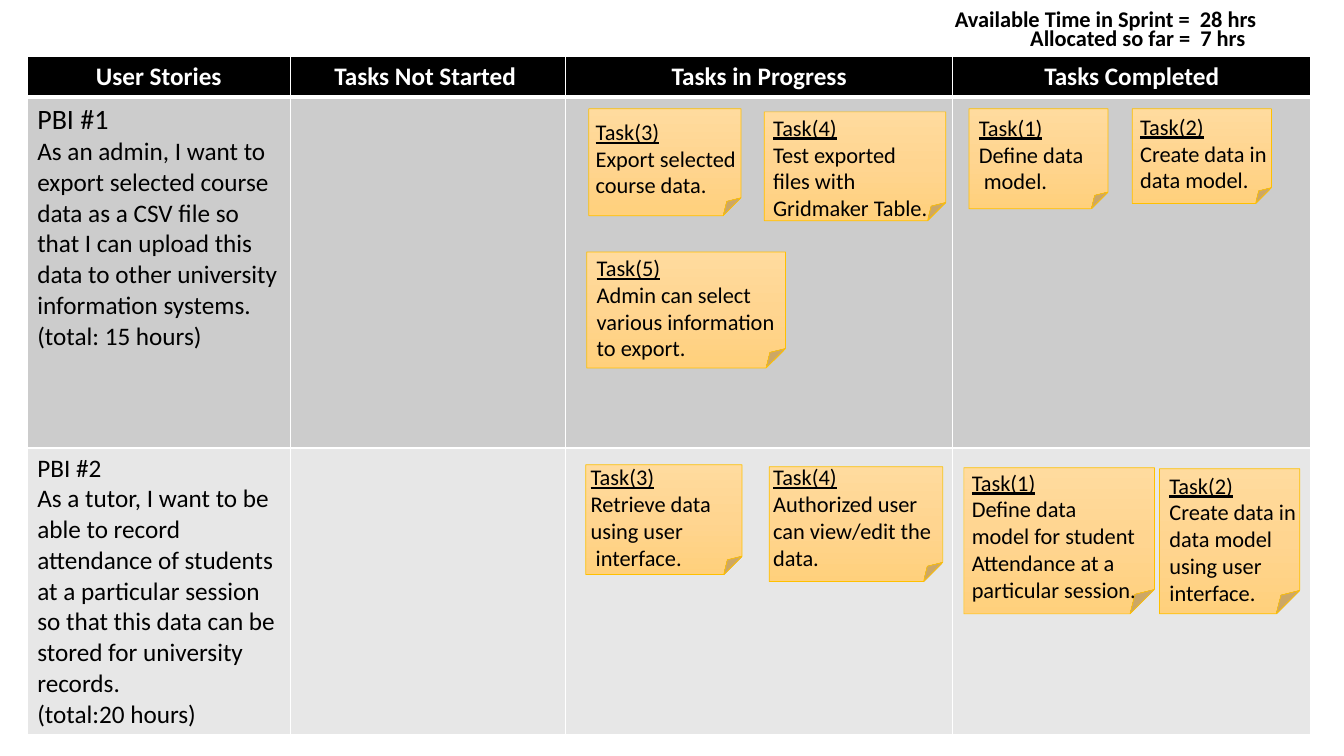
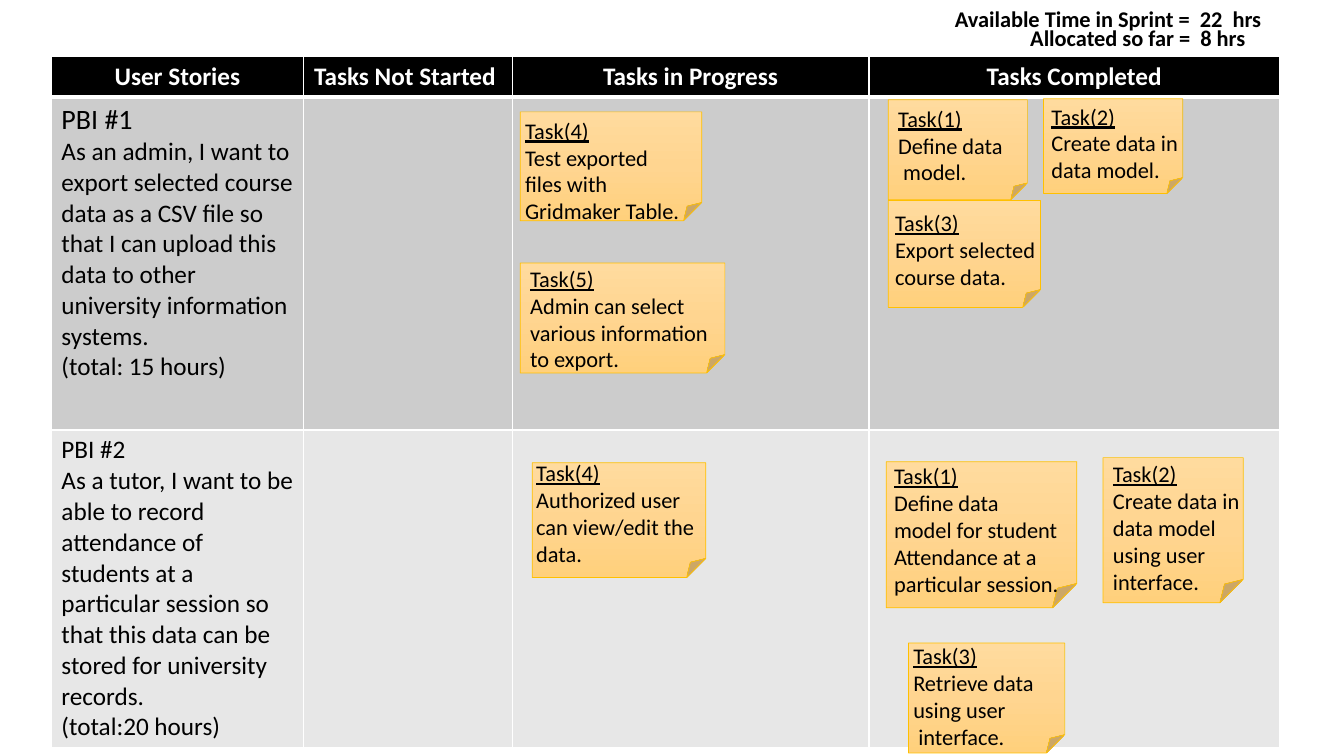
from copy import deepcopy
from dataclasses import dataclass, replace

from lxml.etree import SubElement
from pptx import Presentation
from pptx.dml.color import RGBColor
from pptx.enum.shapes import MSO_SHAPE as Shape
from pptx.enum.text import MSO_ANCHOR as Anchor, MSO_AUTO_SIZE as AutoSize, PP_ALIGN as Align
from pptx.oxml.ns import qn
from pptx.util import Inches, Pt


@dataclass(frozen=True)
class Theme:
    font: str = "Calibri"
    ink: str = "000000"
    paper: str = "FFFFFF"
    bands: tuple = ("000000", "CCCCCC", "E7E7E7")
    note_fill: tuple = ("FFDB9E", "FFD590", "FFD07C")
    note_line: str = "FFC000"
    lead_size: int = 20
    table_size: int = 18
    note_size: int = 16
    thin: int = 1
    thick: int = 3


@dataclass(frozen=True)
class Note:
    """A task card: its size and text offset are in grid units."""
    lines: tuple
    width: float
    height: float
    shift: tuple
    rows: int


# Lengths below count columns and rows of a grid with ten to the inch
def grid(units):
    return Inches(units / 10)


class Board:
    def __init__(self, deck, theme):
        self.deck, self.theme, self.slide = deck, theme, None

    def add_slide(self):
        self.slide = self.deck.slides.add_slide(self.deck.slide_layouts[5])

    def style(self, para, size, color, bold=False, underline=False):
        for span in para.runs:
            font = span.font
            font.name, font.size = self.theme.font, Pt(size)
            font.bold, font.underline = bold, underline
            font.color.rgb = RGBColor.from_string(color)

    def place(self, box, left, top, width, height):
        box.left, box.top = grid(left), grid(top)
        box.width, box.height = grid(width), grid(height)

    def header_line(self, box, text, *area):
        self.place(box, *area)
        frame = box.text_frame
        frame.text, frame.word_wrap = text, True
        frame.auto_size, frame.vertical_anchor = AutoSize.NONE, Anchor.TOP
        para = frame.paragraphs[0]
        para.alignment = Align.LEFT
        self.style(para, self.theme.note_size, self.theme.ink, bold=True)

    def hours(self, available, allocated):
        self.header_line(self.slide.shapes.title, available, 93.7, 0, 32.7, 3.7)
        box = self.slide.shapes.add_textbox(0, 0, 0, 0)
        self.header_line(box, allocated, 101.2, 1.9, 24.6, 3.7)

    def border(self, cell, row):
        widths = {"L": self.theme.thin, "R": self.theme.thin,
                  "T": self.theme.thick if row == 1 else self.theme.thin,
                  "B": self.theme.thick if row == 0 else self.theme.thin}
        props = cell._tc.get_or_add_tcPr()
        for side, width in widths.items():
            line = SubElement(props, qn(f"a:ln{side}"), w=str(Pt(width)))
            SubElement(SubElement(line, qn("a:solidFill")), qn("a:srgbClr"), val=self.theme.paper)

    def table(self, left, top, columns, rows):
        table = self.slide.shapes.add_table(
            len(rows), len(columns), grid(left), grid(top),
            grid(sum(columns)), grid(sum(rows))).table
        for column, width in zip(table.columns, columns):
            column.width = grid(width)
        for row, height in enumerate(rows):
            table.rows[row].height = grid(height)
            for cell in table.rows[row].cells:
                self.border(cell, row)
                cell.fill.solid()
                cell.fill.fore_color.rgb = RGBColor.from_string(self.theme.bands[row])
        # Column headings
        for column, heading in enumerate(HEADINGS):
            cell = table.cell(0, column)
            cell.text = heading
            para = cell.text_frame.paragraphs[0]
            para.alignment = Align.CENTER
            self.style(para, self.theme.table_size, self.theme.paper, bold=True)
        # User stories; the first one has a larger lead
        for row, story in enumerate(STORIES, 1):
            cell = table.cell(row, 0)
            cell.text = "\n".join(story)
            for index, para in enumerate(cell.text_frame.paragraphs):
                lead = row == 1 and index == 0
                size = self.theme.lead_size if lead else self.theme.table_size
                self.style(para, size, self.theme.ink)

    def note(self, note, left, top):
        group = self.slide.shapes.add_group_shape()
        # Folded paper
        card = group.shapes.add_shape(
            Shape.FOLDED_CORNER, grid(left), grid(top), grid(note.width), grid(note.height))
        card.shadow.inherit = False
        card.line.color.rgb = RGBColor.from_string(self.theme.note_line)
        card.line.width = Pt(0.5)
        card.fill.gradient()
        card.fill.gradient_angle = 270
        stops = card.element.spPr.find(".//" + qn("a:gsLst"))
        stops.insert(1, deepcopy(stops[0]))
        for index, stop in enumerate(card.fill.gradient_stops):
            stop.position = index / 2
            stop.color.rgb = RGBColor.from_string(self.theme.note_fill[index])
        # Task text
        across, down = note.shift
        box = group.shapes.add_textbox(
            grid(left + across), grid(top + down), grid(20.3), grid(1 + 2.7 * note.rows))
        frame = box.text_frame
        frame.text, frame.word_wrap = "\n".join(note.lines), True
        frame.auto_size = AutoSize.SHAPE_TO_FIT_TEXT
        for index, para in enumerate(frame.paragraphs):
            self.style(para, self.theme.note_size, self.theme.ink, underline=index == 0)


HEADINGS = ("User Stories", "Tasks Not Started ", "Tasks in Progress", "Tasks Completed")
STORIES = (
    ("PBI #1",
     "As an admin, I want to export selected course data as a CSV file so that I can "
     "upload this data to other university information systems.",
     "(total: 15 hours)"),
    ("PBI #2",
     "As a tutor, I want to be able to record attendance of students at a particular "
     "session so that this data can be stored for university records.",
     "(total:20 hours)"),
)

# Tasks of the first story
DEFINE = Note(("Task(1)", "Define data", " model."), 13.8, 9.9, (0, 0), 3)
CREATE = Note(("Task(2)", "Create data in", "data model."), 13.8, 9.4, (-0.2, -0.1), 3)
EXPORT = Note(("Task(3)", "Export selected course data."), 15.1, 10.6, (-0.3, 0.4), 3)
TEST = Note(("Task(4)", "Test exported", "files with", "Gridmaker Table."),
            18, 10.8, (-0.1, -0.3), 4)
SELECT = Note(("Task(5)", "Admin can select various information", "to export."),
              19.7, 11.5, (0, -0.3), 4)
# Tasks of the second story
ATTENDANCE = Note(("Task(1)", "Define data",
                   "model for student Attendance at a particular session."),
                  18.9, 14.5, (-0.2, -0.4), 5)
INTERFACE = Note(("Task(2)", "Create data in", "data model", "using user", "interface."),
                 13.9, 14.4, (0, -0.2), 5)
RETRIEVE = Note(("Task(3)", "Retrieve data", "using user", " interface."),
                15.5, 10.9, (-0.5, -0.6), 4)
AUTHORIZE = Note(("Task(4)", "Authorized user", "can view/edit the data."),
                 17.2, 11.4, (-0.6, -0.8), 4)

SPRINTS = (
    {"hours": ("Available Time in Sprint =  28 hrs", "Allocated so far =  7 hrs"),
     "table": (2.7, 5.6, (26.1, 27.3, 38.4, 35.5), (3.8, 34.8, 26.6)),
     "notes": ((RETRIEVE, 58.1, 46.1), (AUTHORIZE, 76.3, 46.3), (ATTENDANCE, 95.6, 46.4),
               (INTERFACE, 115, 46.5), (TEST, 75.8, 11.1), (SELECT, 58.2, 25),
               (CREATE, 112.3, 10.8), (DEFINE, 96.1, 10.8), (EXPORT, 58.4, 10.8))},
    {"hours": ("Available Time in Sprint =  22  hrs", "Allocated so far =  8 hrs"),
     "table": (5.1, 5.6, (25, 20.7, 35.4, 40.7), (3.8, 33, 29.5)),
     "notes": ((RETRIEVE, 90.1, 63.8), (AUTHORIZE, 52.8, 45.9), (ATTENDANCE, 87.9, 45.8),
               (INTERFACE, 109.4, 45.4), (replace(TEST, shift=(-0.5, 0)), 51.6, 11.1),
               (replace(SELECT, width=20.3, height=10.9), 51.6, 26.1),
               (CREATE, 103.5, 9.8), (DEFINE, 88.1, 9.9), (EXPORT, 88.1, 19.9))},
)


def main():
    deck = Presentation()
    deck.slide_width, deck.slide_height = Inches(13.33), Inches(7.5)
    board = Board(deck, Theme())
    for sprint in SPRINTS:
        board.add_slide()
        board.table(*sprint["table"])
        for placed in sprint["notes"]:
            board.note(*placed)
        board.hours(*sprint["hours"])
    deck.save("out.pptx")


if __name__ == "__main__":
    main()
